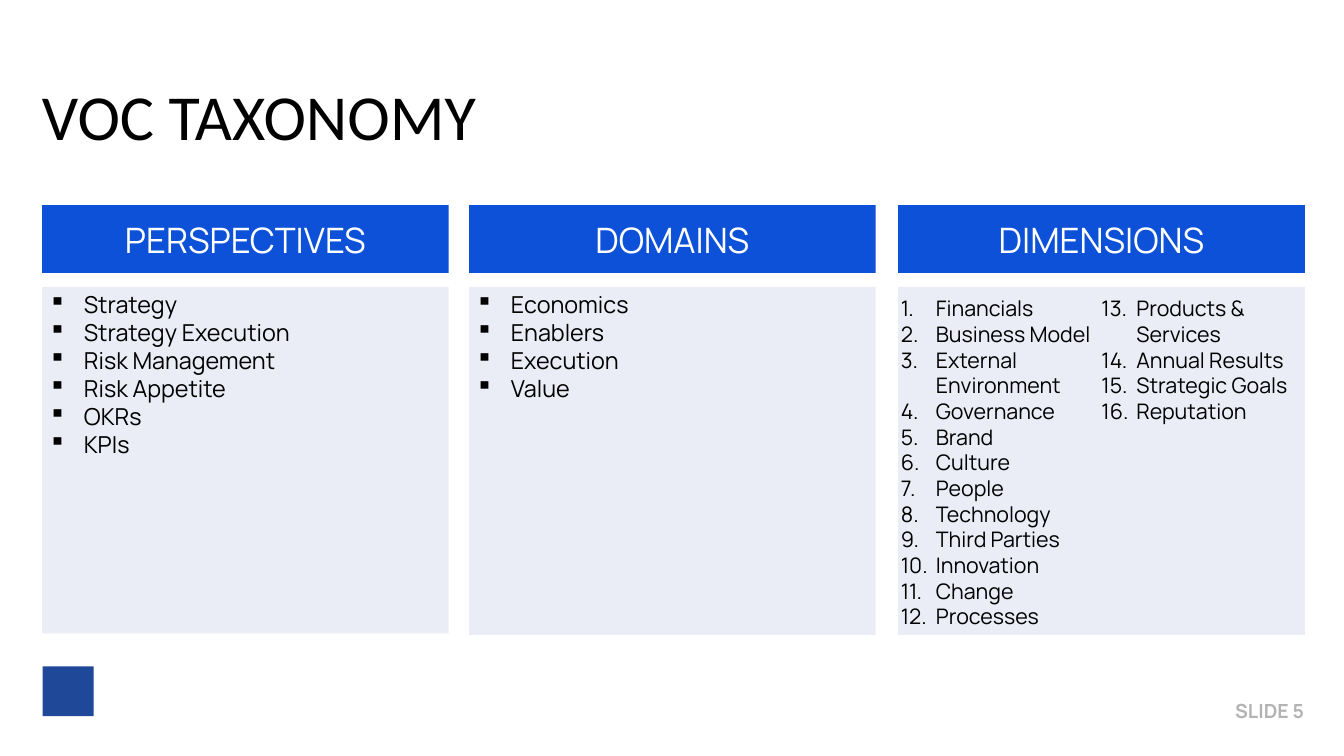
"""Build the VOC taxonomy slide: three headed panels of lists."""
import pptx
import pptx.util
import pptx.dml.color
import pptx.enum.shapes
import pptx.enum.text
import pptx.oxml.ns
from lxml import etree

Inches = pptx.util.Inches
ALIGN = pptx.enum.text.PP_ALIGN
ANCHOR = pptx.enum.text.MSO_ANCHOR

TITLE = "VOC TAXONOMY"
FOOTER = "SLIDE 5"
PANELS = [
    {"head": "PERSPECTIVES", "left": 0.6, "tall": 4.95, "items": [
        "Strategy", "Strategy Execution", "Risk Management",
        "Risk Appetite", "OKRs", "KPIs"]},
    {"head": "DOMAINS", "left": 6.7, "tall": 4.97, "items": [
        "Economics", "Enablers", "Execution", "Value"]},
    {"head": "DIMENSIONS", "left": 12.83, "tall": 4.97, "numbered": True, "items": [
        "Financials", "Business Model", "External Environment", "Governance",
        "Brand", "Culture", "People", "Technology", "Third Parties",
        "Innovation", "Change", "Processes", "Products & Services",
        "Annual Results", "Strategic Goals", "Reputation"]},
]
THEME = {
    "title": {"size": 66, "font": "Calibri", "color": "000000"},
    "head": {"size": 36, "font": "Manrope", "color": "FFFFFF"},
    "list": {"size": 24, "font": "Manrope", "color": "000000"},
    "numbers": {"size": 22, "font": "Manrope", "color": "000000"},
    "footer": {"size": 20, "font": "Manrope", "color": "B3B3B3", "bold": True},
    "bar": "0D51D9", "panel": "EAEDF6", "mark": "204898",
}
WIDTH, HEAD_TOP, HEAD_TALL, LIST_TOP = 5.81, 2.93, 0.97, 4.1
INDENT = Inches(0.5)


def add_block(slide, box, fill):
    """Add a plain filled rectangle."""
    block = slide.shapes.add_shape(
        pptx.enum.shapes.MSO_SHAPE.RECTANGLE, *map(Inches, box))
    block.shadow.inherit = False
    block.fill.solid()
    block.fill.fore_color.rgb = pptx.dml.color.RGBColor.from_string(fill)
    block.line.fill.background()
    return block


def set_frame(shape, anchor, insets=(0.1, 0.05, 0.1, 0.05)):
    """Set wrapping, anchor and insets, and return the text frame."""
    frame = shape.text_frame
    frame.word_wrap = True
    frame.vertical_anchor = anchor
    (frame.margin_left, frame.margin_top,
     frame.margin_right, frame.margin_bottom) = map(Inches, insets)
    return frame


def add_run(para, text, style, align=ALIGN.LEFT):
    """Add one styled run to a paragraph."""
    para.alignment = align
    run = para.add_run()
    run.text = text
    run.font.size = pptx.util.Pt(style["size"])
    run.font.name = style["font"]
    run.font.bold = style.get("bold", False)
    run.font.color.rgb = pptx.dml.color.RGBColor.from_string(style["color"])


def add_bullet(para, tag, **attrs):
    """Give a paragraph a hanging bullet or number."""
    props = para._p.get_or_add_pPr()
    props.set("marL", str(INDENT))
    props.set("indent", str(-INDENT))
    etree.SubElement(props, pptx.oxml.ns.qn(tag), attrs)


def add_panel(slide, panel):
    """Add a list panel and the bar that heads it."""
    left, numbered = panel["left"], panel.get("numbered", False)
    body = add_block(slide, (left, LIST_TOP, WIDTH, panel["tall"]), THEME["panel"])
    if numbered:
        frame = set_frame(body, ANCHOR.MIDDLE, (0.04, 0.08, 0.04, 0.04))
        frame._txBody.bodyPr.set("numCol", "2")
    else:
        frame = set_frame(body, ANCHOR.TOP)
    for i, item in enumerate(panel["items"]):
        para = frame.add_paragraph() if i else frame.paragraphs[0]
        if numbered:
            add_bullet(para, "a:buAutoNum", type="arabicPeriod")
        else:
            add_bullet(para, "a:buChar", char="▪")
        add_run(para, item, THEME["numbers" if numbered else "list"])
    bar = add_block(slide, (left, HEAD_TOP, WIDTH, HEAD_TALL), THEME["bar"])
    frame = set_frame(bar, ANCHOR.MIDDLE)
    add_run(frame.paragraphs[0], panel["head"], THEME["head"], ALIGN.CENTER)


def add_label(slide, box, text, style, align, insets):
    """Add a one-line text box."""
    label = slide.shapes.add_textbox(*map(Inches, box))
    frame = set_frame(label, ANCHOR.MIDDLE, insets)
    add_run(frame.paragraphs[0], text, style, align)


def main():
    """Build and save the slide."""
    deck = pptx.Presentation()
    deck.slide_width, deck.slide_height = Inches(19.2), Inches(10.8)
    slide = deck.slides.add_slide(deck.slide_layouts[6])
    add_block(slide, (0.61, 9.52, 0.73, 0.71), THEME["mark"])
    add_label(slide, (16.93, 9.93, 1.8, 0.44), FOOTER, THEME["footer"],
              ALIGN.RIGHT, (0.1, 0.05, 0.1, 0.05))
    for panel in PANELS:
        add_panel(slide, panel)
    add_label(slide, (0.6, 0.85, 18, 1.57), TITLE, THEME["title"],
              ALIGN.LEFT, (0, 0, 0, 0))
    deck.save("out.pptx")


if __name__ == "__main__":
    main()
